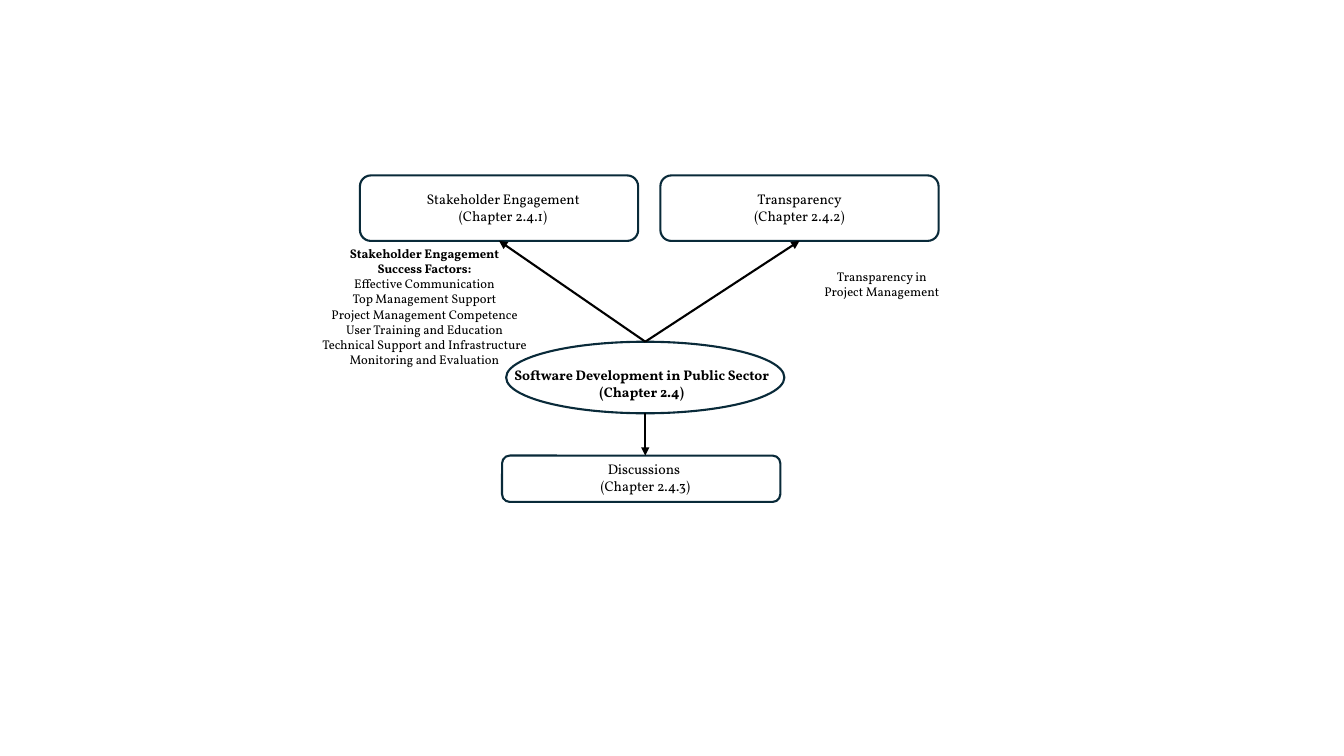
"""Build the concept map of software development in the public sector."""
import pptx
import pptx.util
import pptx.dml.color
import pptx.enum.shapes
import pptx.enum.text
import pptx.oxml

Inches = pptx.util.Inches
Kind = pptx.enum.shapes.MSO_SHAPE

FONT = "Vollkorn"
COLORS = {"edge": "092A39", "ink": "000000"}
WIDE = 2.76

NODES = {
    "topic": (Kind.OVAL, 5.02, 3.39, 0.71),
    "stake": (Kind.ROUNDED_RECTANGLE, 3.57, 1.74, 0.65),
    "clear": (Kind.ROUNDED_RECTANGLE, 6.55, 1.74, 0.65),
    "talks": (Kind.ROUNDED_RECTANGLE, 4.98, 4.52, 0.46),
}
LABELS = [
    (("Software Development in Public Sector", "(Chapter 2.4)"),
     (4.91, 3.59, 2.91, 0.44), {"bold": 2, "wrap": True}),
    (("Stakeholder Engagement", "(Chapter 2.4.1)"), (4.11, 1.84, 1.76, 0.44), {}),
    (("Transparency", "(Chapter 2.4.2)"), (7.37, 1.84, 1.12, 0.44), {}),
    (("Discussions ", "(Chapter 2.4.3)"), (5.84, 4.52, 1.12, 0.44), {}),
    (("Stakeholder Engagement", "Success Factors:", "Effective Communication",
      "Top Management Support", "Project Management Competence",
      "User Training and Education", "Technical Support and Infrastructure",
      "Monitoring and Evaluation"),
     (3.08, 2.39, 2.26, 1.31), {"size": 9, "bold": 2}),
    (("Transparency in", "Project Management"),
     (8.07, 2.62, 1.35, 0.4), {"size": 9}),
]


def paint(name):
    return pptx.dml.color.RGBColor.from_string(COLORS[name])


def stroke(line, name):
    line.color.rgb = paint(name)
    line.width = pptx.util.Pt(1.5)


def add_node(slide, kind, left, top, high):
    node = slide.shapes.add_shape(
        kind, Inches(left), Inches(top), Inches(WIDE), Inches(high))
    node.shadow.inherit = False
    node.fill.background()
    stroke(node.line, "edge")
    return node


def add_label(slide, lines, place, size=10, bold=0, wrap=False):
    frame = slide.shapes.add_textbox(*map(Inches, place)).text_frame
    frame.word_wrap = wrap
    frame.auto_size = pptx.enum.text.MSO_AUTO_SIZE.SHAPE_TO_FIT_TEXT
    for row, line in enumerate(lines):
        para = frame.add_paragraph() if row else frame.paragraphs[0]
        para.alignment = pptx.enum.text.PP_ALIGN.CENTER
        run = para.add_run()
        run.text = line
        run.font.name = FONT
        run.font.size = pptx.util.Pt(size)
        run.font.bold = row < bold
        run.font.color.rgb = paint("ink")


def add_arrow(slide, start, end):
    arrow = slide.shapes.add_connector(
        pptx.enum.shapes.MSO_CONNECTOR.STRAIGHT, *start, *end)
    stroke(arrow.line, "ink")
    edge = arrow.line._get_or_add_ln()
    tail = pptx.oxml.parse_xml(
        '<a:tailEnd xmlns:a="http://schemas.openxmlformats.org/drawingml/2006/main"'
        ' type="triangle"/>')
    edge.append(tail)
    props = arrow._element.spPr
    props.append(props.makeelement(pptx.oxml.ns.qn("a:effectLst"), {}))
    return arrow


def main():
    deck = pptx.Presentation()
    deck.slide_width, deck.slide_height = Inches(13.33), Inches(7.5)
    slide = deck.slides.add_slide(deck.slide_layouts[6])

    nodes = {name: add_node(slide, *spec) for name, spec in NODES.items()}
    topic = nodes["topic"]
    mid = topic.left + topic.width // 2
    for name in ("stake", "clear"):
        goal = nodes[name]
        arrow = add_arrow(slide, (mid, topic.top),
                          (goal.left + goal.width // 2, goal.top + goal.height))
        arrow.begin_connect(topic, 0)
        arrow.end_connect(goal, 2)
    add_arrow(slide, (mid, topic.top + topic.height), (mid, nodes["talks"].top))

    for lines, place, style in LABELS:
        add_label(slide, lines, place, **style)
    deck.save("out.pptx")


if __name__ == "__main__":
    main()
